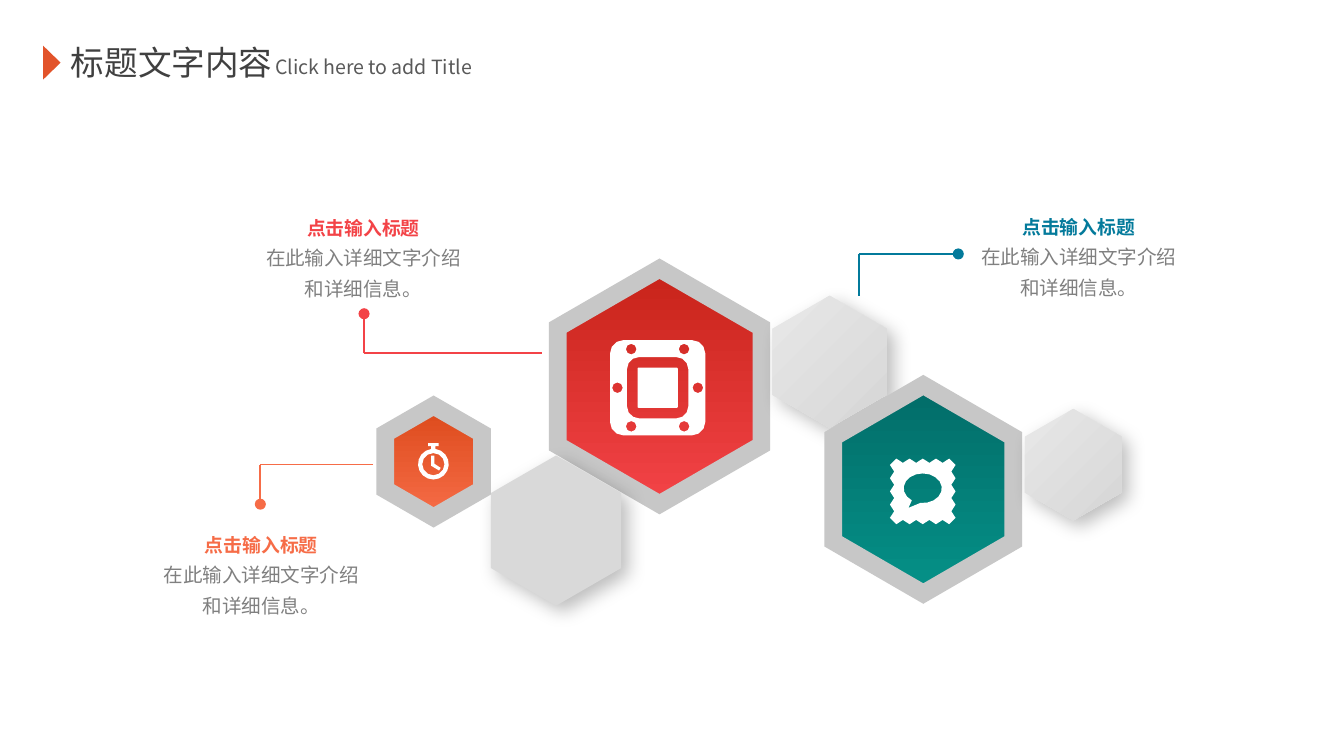
from math import cos, pi, radians, sin

from lxml import etree
from pptx import Presentation
from pptx.dml.color import RGBColor
from pptx.enum.shapes import MSO_CONNECTOR, MSO_SHAPE
from pptx.enum.text import MSO_ANCHOR, PP_ALIGN
from pptx.oxml.ns import qn
from pptx.util import Cm, Pt

STRAIGHT = MSO_CONNECTOR.STRAIGHT
TRIANGLE = MSO_SHAPE.ISOSCELES_TRIANGLE
LEFT, CENTER = PP_ALIGN.LEFT, PP_ALIGN.CENTER
TOP, MIDDLE = MSO_ANCHOR.TOP, MSO_ANCHOR.MIDDLE
FONT = "Noto Sans CJK SC"
COLORS = {
    "title": "404040", "subtitle": "595959", "body": "808080",
    "marker": "E2532A", "rim": "C7C7C7", "white": "FFFFFF", "shadow": "000000",
    "orange_dark": "DC4A1B", "orange": "F66C47",
    "red_dark": "C72319", "red": "F34347",
    "teal_dark": "026C68", "teal": "059188", "blue": "037A9B",
    "gray_light": "E8E8E8", "gray": "D6D6D6", "gray_flat": "D9D9D9",
}


def color(name):
    return RGBColor.from_string(COLORS[name])


def child(parent, tag, **attributes):
    return etree.SubElement(parent, qn(tag), attributes)


def add_text(page, box, lines, align=LEFT, anchor=MIDDLE, inset=0.25, top=0, gap=0):
    area = page.shapes.add_textbox(*map(Cm, box))
    frame = area.text_frame
    frame.word_wrap = False
    frame.vertical_anchor = anchor
    frame.margin_left = frame.margin_right = Cm(inset)
    frame.margin_top, frame.margin_bottom = Cm(top), 0
    for index, (text, size, tint, bold) in enumerate(lines):
        para = frame.add_paragraph() if index else frame.paragraphs[0]
        para.alignment = align
        para.space_before = Pt(gap if index else 0)
        span = para.add_run()
        span.text = text
        span.font.size, span.font.bold = Pt(size), bold
        span.font.name = FONT
        span.font.color.rgb = color(tint)
        child(span.font._element, "a:ea", typeface=FONT)


def add_outlines(page, outlines):
    builder = None
    for outline in outlines:
        points = [(Cm(x), Cm(y)) for x, y in outline]
        if builder is None:
            builder = page.shapes.build_freeform(*points[0])
        else:
            builder.move_to(*points[0])
        builder.add_line_segments(points[1:], close=True)
    shape = builder.convert_to_shape()
    shape.shadow.inherit = False
    shape.line.fill.background()
    return shape


def add_hexagon(page, box, tints, angle=270, rim=False):
    left, top, width, height = box
    middle, right = left + width / 2, left + width
    upper, lower = top + height / 4, top + height * 3 / 4
    shape = add_outlines(page, [[
        (left, lower), (middle, top + height), (right, lower),
        (right, upper), (middle, top), (left, upper),
    ]])
    if len(tints) == 1:
        shape.fill.solid()
        shape.fill.fore_color.rgb = color(tints[0])
    else:
        shape.fill.gradient()
        shape.fill.gradient_angle = angle
        for stop, tint in zip(shape.fill.gradient_stops, tints):
            stop.color.rgb = color(tint)
    if rim:
        shape.line.color.rgb = color("rim")
        shape.line.width = Pt(9.5)
        child(shape.line._get_or_add_ln(), "a:miter", lim="800000")
    else:
        effects = shape._element.spPr.find(qn("a:effectLst"))
        shadow = child(effects, "a:outerShdw", blurRad=str(Pt(10)), dist=str(Pt(5)),
                       dir="2700000", algn="tl", rotWithShape="0")
        tint = child(shadow, "a:srgbClr", val=COLORS["shadow"])
        child(tint, "a:alpha", val="25000")


def arc(x, y, across, down, start, end, steps):
    angles = [radians(start + (end - start) * i / steps) for i in range(steps + 1)]
    return [(x + across * cos(a), y + down * sin(a)) for a in angles]


def circle(x, y, radius, steps):
    return arc(x, y, radius, radius, 0, 360, steps)[:-1]


def rounded_square(half, radius):
    inner = half - radius
    corners = [(inner, inner), (-inner, inner), (-inner, -inner), (inner, -inner)]
    return [point for i, (x, y) in enumerate(corners)
            for point in arc(x, y, radius, radius, i * 90, i * 90 + 90, 3)]


def add_icon(page, box, outlines):
    left, top, width, height = box
    x, y = left + width / 2, top + height / 2
    shape = add_outlines(page, [[(x + dx, y + dy) for dx, dy in o] for o in outlines])
    shape.fill.solid()
    shape.fill.fore_color.rgb = color("white")


def add_plate(page, box):
    holes = [(x, y) for x in (-0.5, 0.5) for y in (-0.73, 0.73)] + [(-0.76, 0), (0.76, 0)]
    add_icon(page, box, [rounded_square(0.38, 0.02)])
    add_icon(page, box, [rounded_square(0.9, 0.25), rounded_square(0.58, 0.23),
                         *[circle(x, y, 0.1, 8) for x, y in holes]])


def add_clock(page, box):
    stem = [(0.04, -0.23), (0.04, -0.28), (0.1, -0.28), (0.1, -0.34),
            (-0.1, -0.34), (-0.1, -0.28), (-0.04, -0.28), (-0.04, -0.23)]
    rim = arc(0, 0.06, 0.29, 0.29, -82, 262, 16)
    hands = [(-0.04, -0.1), (0.02, -0.1), (0.02, 0.05),
             (0.14, 0.13), (0.11, 0.18), (-0.04, 0.09)]
    add_icon(page, box, [rim + stem[::-1], circle(0, 0.06, 0.21, 12)])
    add_icon(page, box, [hands])


def add_stamp(page, box):
    pitch, steps = 0.25, 16
    edge = []
    for i in range(steps + 1):
        along = pitch * (4 * i / steps - 2)
        edge.append((0.58 + 0.04 * cos(2 * pi * along / pitch), along))
    outline = []
    for turn in range(4):
        outline += edge
        edge = [(-y, x) for x, y in edge]
    bubble = arc(0, -0.06, 0.36, 0.28, 125, 457, 16) + [(-0.27, 0.31)]
    add_icon(page, box, [outline, bubble])


def add_leader(page, points, tint):
    for index, (start, end) in enumerate(zip(points, points[1:])):
        line = page.shapes.add_connector(STRAIGHT, *map(Cm, start + end))
        line.line.color.rgb = color(tint)
        line.line.width = Pt(1)
        if index == len(points) - 2:
            child(line.line._get_or_add_ln(), "a:tailEnd", type="oval")
        child(line._element.spPr, "a:effectLst")


def add_callout(page, box, points, tint):
    add_leader(page, points, tint)
    add_text(page, box, [
        ("点击输入标题", 10.1, tint, True),
        ("在此输入详细文字介绍", 10.5, "body", False),
        ("和详细信息。", 10.5, "body", False),
    ], align=CENTER, anchor=TOP, top=0.13, gap=3.8)


def add_header(page, box):
    left, top, width, height = box
    marker = page.shapes.add_shape(
        TRIANGLE, Cm(left), Cm(top + 0.35), Cm(0.64), Cm(0.33))
    marker.rotation = 90
    marker.shadow.inherit = False
    marker.fill.solid()
    marker.fill.fore_color.rgb = color("marker")
    marker.line.fill.background()
    add_text(page, (left + 0.43, top, 4.55, height), [("标题文字内容", 18, "title", False)])
    add_text(page, (left + 4.14, top + 0.23, width - 4.14, 0.71),
             [("Click here to add Title", 10.5, "subtitle", False)], inset=0.4)


def main():
    deck = Presentation()
    deck.slide_width, deck.slide_height = Cm(25.4), Cm(14.29)
    page = deck.slides.add_slide(deck.slide_layouts[6])
    add_header(page, (0.66, 0.67, 8.79, 1.02))

    silver = ("gray_light", "gray")
    add_hexagon(page, (10.54, 5.08, 3.85, 4.45), ("red_dark", "red"), rim=True)
    add_hexagon(page, (9.28, 8.61, 2.46, 2.84), ("gray_flat",))
    add_hexagon(page, (14.6, 5.59, 2.16, 2.5), silver, angle=315)
    add_hexagon(page, (15.75, 7.28, 3.4, 3.94), ("teal_dark", "teal"), rim=True)
    add_hexagon(page, (19.37, 7.73, 1.83, 2.11), silver, angle=315)
    add_hexagon(page, (7.28, 7.67, 1.83, 2.11), ("orange_dark", "orange"), rim=True)

    add_callout(page, (4.75, 3.96, 4.24, 1.88),
                [(10.24, 6.68), (6.88, 6.68), (6.88, 5.93)], "red")
    add_callout(page, (2.82, 9.95, 4.24, 1.88),
                [(7.05, 8.78), (4.92, 8.78), (4.92, 9.53)], "orange")
    add_callout(page, (18.27, 3.94, 4.24, 1.88),
                [(16.23, 5.59), (16.23, 4.8), (18.11, 4.8)], "blue")

    add_stamp(page, (16.82, 8.67, 1.24, 1.24))
    add_clock(page, (7.9, 8.37, 0.58, 0.69))
    add_plate(page, (11.53, 6.43, 1.8, 1.8))
    deck.save("out.pptx")


if __name__ == "__main__":
    main()
